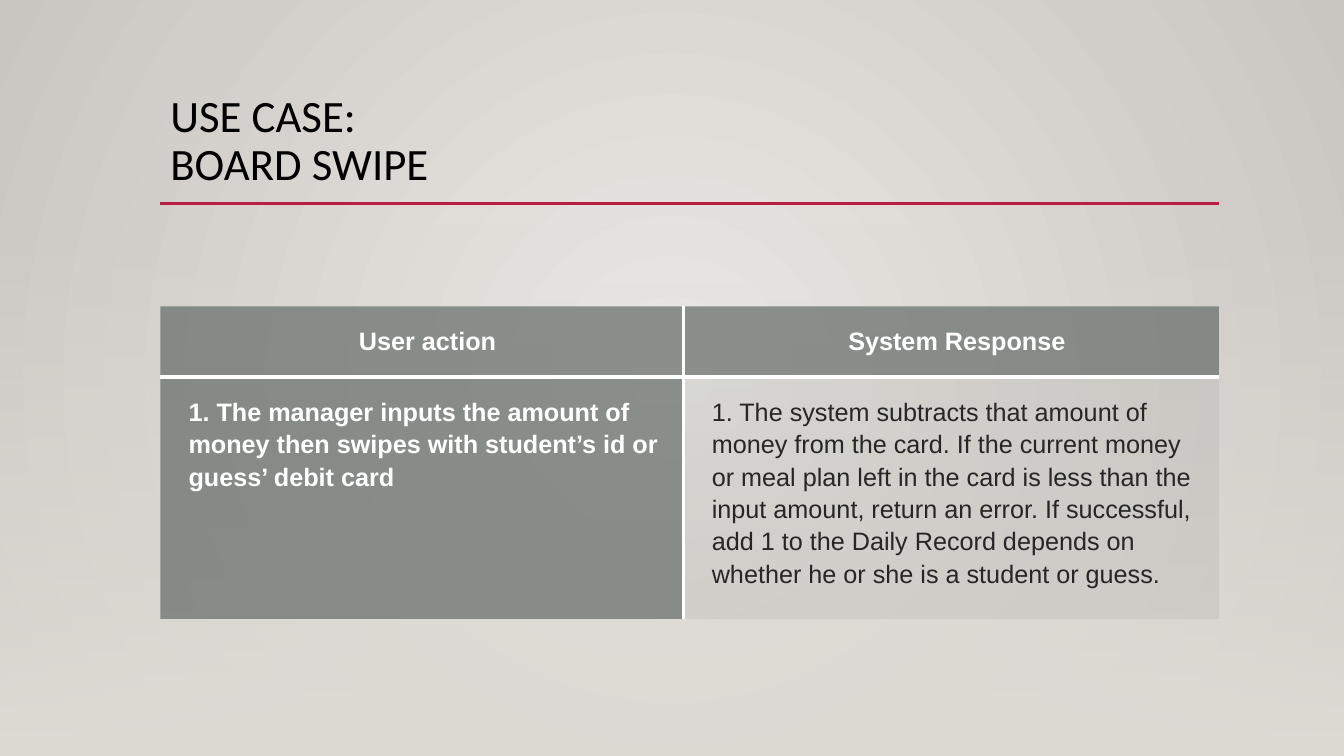
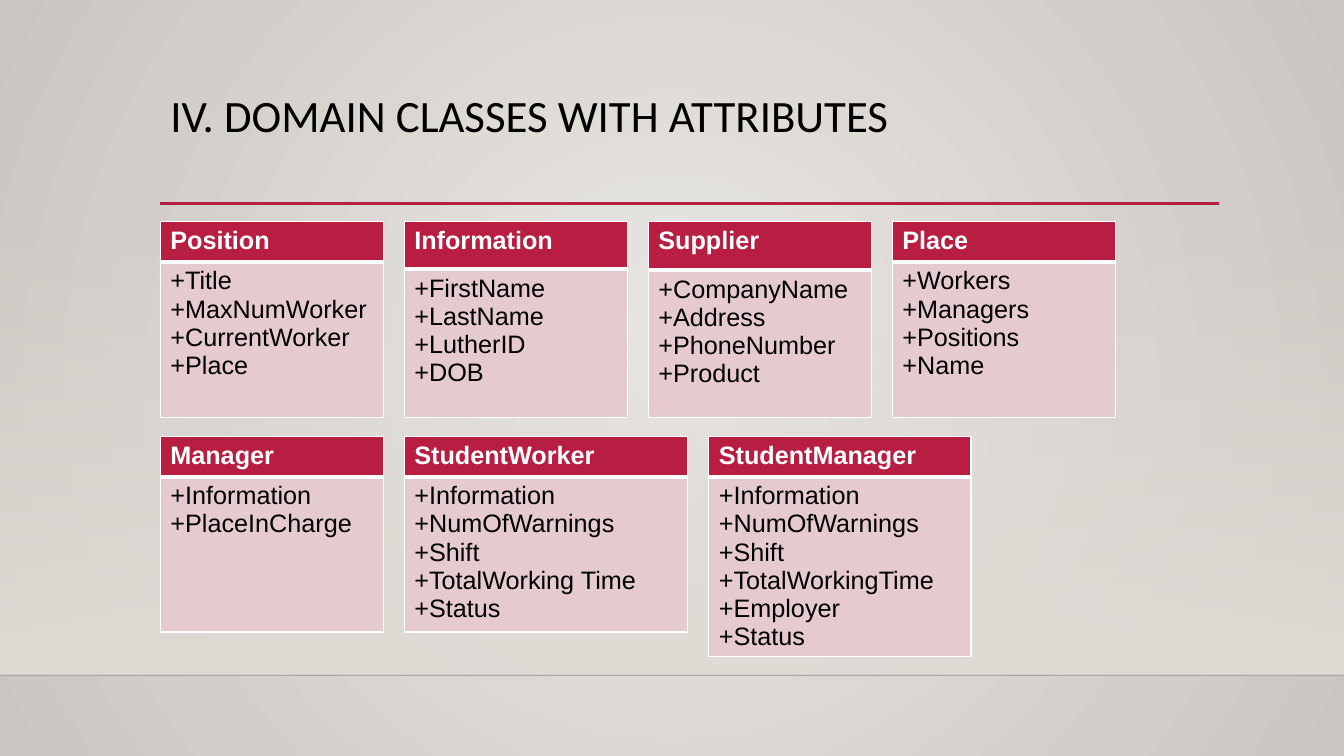
from dataclasses import dataclass, replace

from lxml.etree import SubElement
from pptx import Presentation
from pptx.dml.color import RGBColor
from pptx.enum.shapes import MSO_CONNECTOR as Connector, MSO_SHAPE as Shape
from pptx.enum.text import MSO_ANCHOR as Anchor, MSO_AUTO_SIZE as AutoSize, PP_ALIGN as Align
from pptx.oxml import parse_xml
from pptx.oxml.ns import nsdecls, qn
from pptx.util import Emu, Pt

# Shared look
PAGE_WIDTH, PAGE_HEIGHT = 1333, 750
LEFT, CONTENT_WIDTH = 159, 1050
RULE_TOP, WASH_TOP, FLOOR = 202, 221, 670
RED, PINK, GREY, PALE_GREY = "B71E42", "E5CBCD", "636B68", "878E8B"
WHITE, BLACK, CHARCOAL = "FFFFFF", "000000", "262626"
GLOW, EDGE, WASH = "EBE9E6", "C9C5C0", "DFDBD5"
TITLE_FONT, BODY_FONT = "Calibri", "Arial"
NO_TABLE_STYLE = "{2D5ABB26-0587-4C30-8999-92F81FD0307C}"
RADIAL = '<a:path path="circle"><a:fillToRect l="50000" t="50000" r="50000" b="50000"/></a:path>'
DOWNWARD = '<a:lin ang="5400000" scaled="0"/>'


@dataclass(frozen=True)
class CellLook:
    fill: str
    ink: str
    bold: bool = False
    opacity: int = 100
    margins: tuple = (10, 5, 10, 5)
    spacing: float = 1.0
    align: Align = Align.LEFT


CLASS_HEAD = CellLook(RED, WHITE, bold=True)
CLASS_BODY = CellLook(PINK, BLACK)
STEP_BODY = CellLook(PALE_GREY, CHARCOAL, opacity=15, margins=(28, 17, 17, 17), spacing=1.15)
STEP_SIDE = replace(STEP_BODY, fill=GREY, ink=WHITE, bold=True, opacity=70)
STEP_HEAD = replace(STEP_SIDE, align=Align.CENTER)

# Content
STEPS = [
    ["User action", "System Response"],
    ["1. The manager inputs the amount of money then swipes with student’s id or "
     "guess’ debit card",
     "1. The system subtracts that amount of money from the card. If the current money or "
     "meal plan left in the card is less than the input amount, return an error. If "
     "successful, add 1 to the Daily Record depends on whether he or she is a student or "
     "guess."],
]
# Each row: top, then boxes of name, width, header height and attributes
CLASS_ROWS = [
    (220, [
        ("Position", 221, 40, ["Title", "MaxNumWorker", "CurrentWorker", "Place"]),
        ("Information", 221, 47, ["FirstName", "LastName", "LutherID", "DOB"]),
        ("Supplier", 221, 48, ["CompanyName", "Address", "PhoneNumber", "Product"]),
        ("Place", 221, 40, ["Workers", "Managers", "Positions", "Name"]),
    ]),
    (433, [
        ("Manager", 221, 40, ["Information", "PlaceInCharge"]),
        ("StudentWorker", 281, 40,
         ["Information", "NumOfWarnings", "Shift", "TotalWorking Time", "Status"]),
        ("StudentManager", 260, 40,
         ["Information", "NumOfWarnings", "Shift", "TotalWorkingTime", "Employer", "Status"]),
    ]),
]
CLASS_GAP, CLASS_HEIGHT = 21, 194


def px(length):
    return Emu(length * 9144)


def rgb(code):
    return RGBColor.from_string(code)


def fade(properties, opacity):
    """Set the opacity, in percent, of the first colour found."""
    if opacity < 100:
        colour = properties.find(".//" + qn("a:srgbClr"))
        SubElement(colour, qn("a:alpha")).set("val", str(opacity * 1000))


def paint_gradient(properties, start, end, direction, start_opacity=100):
    """Swap a solid fill for a two-stop gradient."""
    gradient = parse_xml(
        f'<a:gradFill {nsdecls("a")} rotWithShape="1"><a:gsLst>'
        f'<a:gs pos="0"><a:srgbClr val="{start}">'
        f'<a:alpha val="{start_opacity * 1000}"/></a:srgbClr></a:gs>'
        f'<a:gs pos="100000"><a:srgbClr val="{end}"/></a:gs>'
        f'</a:gsLst>{direction}</a:gradFill>')
    properties.replace(properties.find(qn("a:solidFill")), gradient)


def add_line(page, left, top, width, colour, weight, opacity=100):
    line = page.shapes.add_connector(
        Connector.STRAIGHT, px(left), px(top), px(left + width), px(top))
    line.line.color.rgb = rgb(colour)
    line.line.width = Pt(weight)
    properties = line.element.spPr
    fade(properties, opacity)
    SubElement(properties, qn("a:effectLst"))


def add_span(para, text, size, font, colour, bold=False):
    span = para.add_run()
    span.text = text
    span.font.size = Pt(size)
    span.font.name = font
    span.font.bold = bold
    span.font.color.rgb = rgb(colour)


def add_title(page, lines):
    title = page.shapes.title
    title.left, title.top = px(LEFT), px(88)
    title.width, title.height = px(CONTENT_WIDTH), px(115)
    frame = title.text_frame
    frame.auto_size = AutoSize.NONE
    frame.vertical_anchor = Anchor.TOP
    para = frame.paragraphs[0]
    para.alignment = Align.LEFT
    para.line_spacing = 0.9
    for index, line in enumerate(lines):
        if index:
            para.add_line_break()
        add_span(para, line, 32, TITLE_FONT, BLACK)


def add_page(deck, title_lines, wash_bottom):
    """Title-only page with the pale wash, the red rule and the title."""
    page = deck.slides.add_slide(deck.slide_layouts[5])
    wash = page.shapes.add_shape(
        Shape.RECTANGLE, 0, px(WASH_TOP), px(PAGE_WIDTH), px(wash_bottom - WASH_TOP))
    wash.shadow.inherit = False
    wash.line.fill.background()
    wash.fill.solid()
    paint_gradient(wash.element.spPr, WASH, WASH, DOWNWARD, start_opacity=0)
    add_line(page, LEFT, RULE_TOP, CONTENT_WIDTH, RED, 2.5)
    add_title(page, title_lines)
    return page


def add_plain_table(page, left, top, widths, heights):
    box = page.shapes.add_table(
        len(heights), len(widths), px(left), px(top), px(sum(widths)), px(sum(heights)))
    box.element.find(".//" + qn("a:tableStyleId")).text = NO_TABLE_STYLE
    table = box.table
    table.first_row = table.horz_banding = False
    for column, width in zip(table.columns, widths):
        column.width = px(width)
    for row, height in zip(table.rows, heights):
        row.height = px(height)
    return table


def format_cell(cell, lines, look, borders):
    """Fill a cell; borders maps the sides L, R, T and B to points."""
    cell.fill.solid()
    cell.fill.fore_color.rgb = rgb(look.fill)
    properties = cell._tc.get_or_add_tcPr()
    fade(properties, look.opacity)
    sides = [side for side in "LRTB" if side in borders]
    for index, side in enumerate(sides):
        properties.insert(index, parse_xml(
            f'<a:ln{side} {nsdecls("a")} w="{Pt(borders[side])}"><a:solidFill>'
            f'<a:srgbClr val="{WHITE}"/></a:solidFill></a:ln{side}>'))
    (cell.margin_left, cell.margin_top,
     cell.margin_right, cell.margin_bottom) = map(px, look.margins)
    for index, line in enumerate(lines):
        frame = cell.text_frame
        para = frame.add_paragraph() if index else frame.paragraphs[0]
        para.alignment = look.align
        para.line_spacing = look.spacing
        add_span(para, line, 18, BODY_FONT, look.ink, look.bold)


def add_steps_table(page):
    table = add_plain_table(page, LEFT, 304, [519, 531], [70, 240])
    looks = [[STEP_HEAD, STEP_HEAD], [STEP_SIDE, STEP_BODY]]
    for row, texts in enumerate(STEPS):
        for column, text in enumerate(texts):
            inner_edges = {"RL"[column]: 3, "BT"[row]: 3}
            format_cell(table.cell(row, column), [text], looks[row][column], inner_edges)


def add_class_box(page, left, top, name, width, head_height, attributes):
    heights = [head_height, CLASS_HEIGHT - head_height]
    table = add_plain_table(page, left, top, [width], heights)
    format_cell(table.cell(0, 0), [name], CLASS_HEAD, {"L": 1, "R": 1, "T": 1, "B": 3})
    format_cell(table.cell(1, 0), ["+" + attribute for attribute in attributes],
                CLASS_BODY, {"L": 1, "R": 1, "T": 3, "B": 1})


def main():
    deck = Presentation()
    deck.slide_width, deck.slide_height = px(PAGE_WIDTH), px(PAGE_HEIGHT)

    # Background on the master
    master = deck.slide_master
    master.background.fill.solid()
    paint_gradient(master.element.find(".//" + qn("p:bgPr")), GLOW, EDGE, RADIAL)

    # Use case
    page = add_page(deck, ["USE CASE:", "BOARD SWIPE"], PAGE_HEIGHT)
    add_steps_table(page)

    # Domain classes
    page = add_page(deck, ["IV. DOMAIN CLASSES WITH ATTRIBUTES"], FLOOR)
    add_line(page, 0, FLOOR, PAGE_WIDTH, "000001", 1, opacity=20)
    for top, boxes in CLASS_ROWS:
        left = LEFT
        for name, width, head_height, attributes in boxes:
            add_class_box(page, left, top, name, width, head_height, attributes)
            left += width + CLASS_GAP

    deck.save("out.pptx")


if __name__ == "__main__":
    main()
